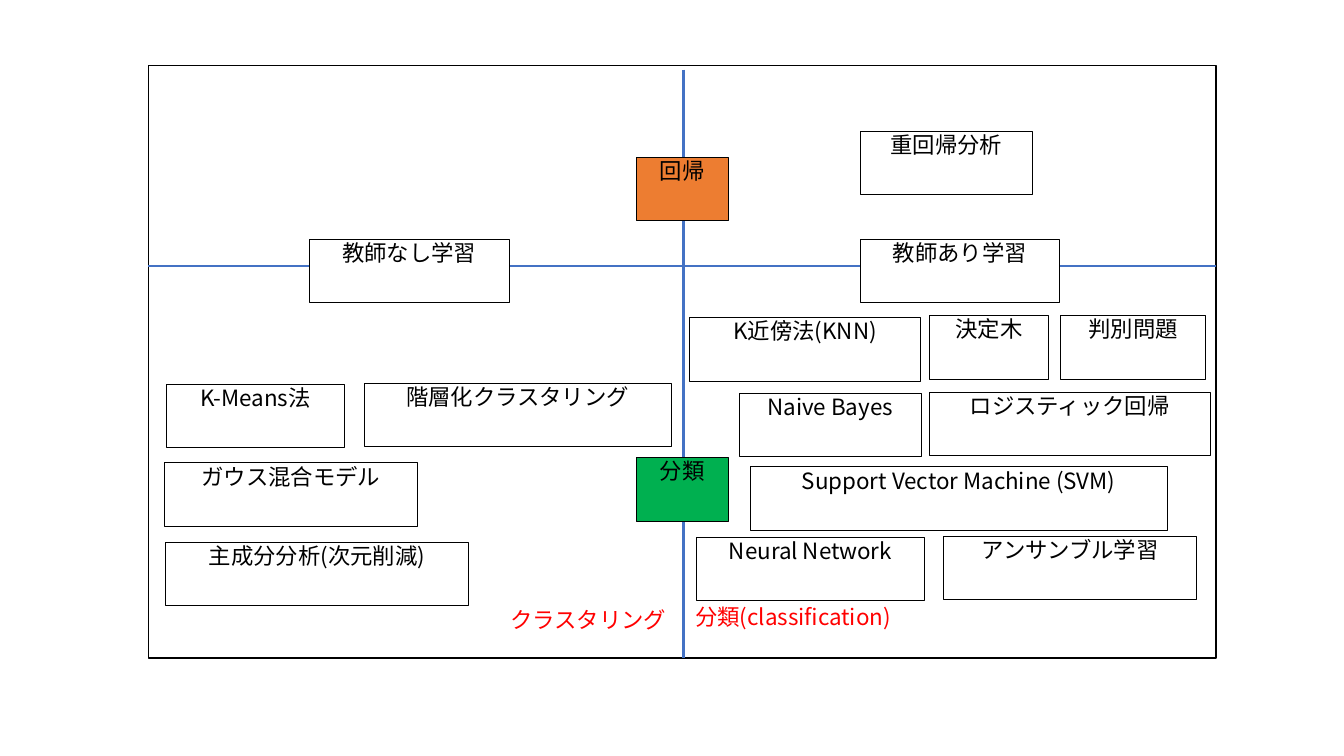
from lxml.etree import SubElement
from pptx import Presentation
from pptx.dml.color import RGBColor
from pptx.enum.shapes import MSO_CONNECTOR, MSO_SHAPE
from pptx.enum.text import MSO_ANCHOR, PP_ALIGN
from pptx.oxml.ns import qn
from pptx.util import Inches, Pt

FONT = "Noto Sans CJK JP"
WHITE = RGBColor(0xFF, 0xFF, 0xFF)
BLACK = RGBColor(0x00, 0x00, 0x00)
RED = RGBColor(0xFF, 0x00, 0x00)
BLUE = RGBColor(0x44, 0x72, 0xC4)
ORANGE = RGBColor(0xED, 0x7D, 0x31)
GREEN = RGBColor(0x00, 0xB0, 0x50)

FRAME_LEFT, FRAME_TOP, FRAME_WIDTH, FRAME_HEIGHT = 1.47, 0.65, 10.59, 5.88
FRAME_RIGHT = FRAME_LEFT + FRAME_WIDTH
FRAME_BOTTOM = FRAME_TOP + FRAME_HEIGHT
AXIS_X, AXIS_Y, AXIS_TOP = 6.78, 2.64, 0.69
BOX_HEIGHT, LABEL_HEIGHT = 0.63, 0.28

# text, left, top, width
LEARNING_TYPES = [
    ("教師あり学習", 8.53, 2.37, 1.98),
    ("教師なし学習", 3.07, 2.37, 1.98),
]
# text, left, top, width, fill
TASKS = [
    ("回帰", 6.31, 1.56, 0.91, ORANGE),
    ("分類", 6.31, 4.54, 0.91, GREEN),
]
METHODS = [
    ("重回帰分析", 8.53, 1.3, 1.71),
    ("K-Means法", 1.65, 3.81, 1.77),
    ("階層化クラスタリング", 3.61, 3.8, 3.05),
    ("ガウス混合モデル", 1.63, 4.59, 2.51),
    ("主成分分析(次元削減)", 1.64, 5.38, 3.01),
    ("K近傍法(KNN)", 6.84, 3.15, 2.29),
    ("決定木", 9.22, 3.13, 1.18),
    ("判別問題", 10.52, 3.13, 1.44),
    ("Naive Bayes", 7.33, 3.9, 1.81),
    ("ロジスティック回帰", 9.22, 3.89, 2.78),
    ("Support Vector Machine (SVM)", 7.44, 4.63, 4.14),
    ("Neural Network", 6.91, 5.33, 2.26),
    ("アンサンブル学習", 9.36, 5.32, 2.51),
]
QUADRANT_LABELS = [
    ("クラスタリング", 4.94, 6.01, 1.79),
    ("分類(classification)", 6.82, 5.98, 2.09),
]


def add_rectangle(slide, left, top, width, height, fill=WHITE, line_width=None):
    """Add a filled rectangle, with a black outline if line_width is given."""
    shape = slide.shapes.add_shape(
        MSO_SHAPE.RECTANGLE, Inches(left), Inches(top), Inches(width), Inches(height))
    shape.shadow.inherit = False
    shape.fill.solid()
    shape.fill.fore_color.rgb = fill
    if line_width is None:
        shape.line.fill.background()
    else:
        shape.line.color.rgb = BLACK
        shape.line.width = Pt(line_width)
    return shape


def write_text(shape, text, color):
    text_frame = shape.text_frame
    text_frame.text = text
    text_frame.word_wrap = False
    text_frame.vertical_anchor = MSO_ANCHOR.TOP
    text_frame.margin_left = text_frame.margin_right = 0
    text_frame.margin_top = text_frame.margin_bottom = 0
    paragraph = text_frame.paragraphs[0]
    paragraph.alignment = PP_ALIGN.CENTER
    run = paragraph.runs[0]
    run.font.size = Pt(16)
    run.font.name = FONT
    run.font.color.rgb = color
    # East Asian characters take their font from a separate element.
    SubElement(run.font._element, qn("a:ea")).set("typeface", FONT)


def add_box(slide, text, left, top, width, fill=WHITE):
    shape = add_rectangle(slide, left, top, width, BOX_HEIGHT, fill, 0.5)
    write_text(shape, text, BLACK)


def add_axis(slide, start_x, start_y, end_x, end_y):
    axis = slide.shapes.add_connector(
        MSO_CONNECTOR.STRAIGHT,
        Inches(start_x), Inches(start_y), Inches(end_x), Inches(end_y))
    axis.line.color.rgb = BLUE
    axis.line.width = Pt(2)
    SubElement(axis._element.spPr, qn("a:effectLst"))


def main():
    presentation = Presentation()
    presentation.slide_width = Inches(13.33)
    presentation.slide_height = Inches(7.5)
    slide = presentation.slides.add_slide(presentation.slide_layouts[6])

    add_rectangle(slide, FRAME_LEFT, FRAME_TOP, FRAME_WIDTH, FRAME_HEIGHT, line_width=1)
    add_axis(slide, AXIS_X, AXIS_TOP, AXIS_X, FRAME_BOTTOM)
    add_axis(slide, FRAME_LEFT, AXIS_Y, FRAME_RIGHT, AXIS_Y)
    for box in LEARNING_TYPES + TASKS + METHODS:
        add_box(slide, *box)
    for text, left, top, width in QUADRANT_LABELS:
        label = add_rectangle(slide, left, top, width, LABEL_HEIGHT)
        write_text(label, text, RED)

    presentation.save("out.pptx")


if __name__ == "__main__":
    main()
